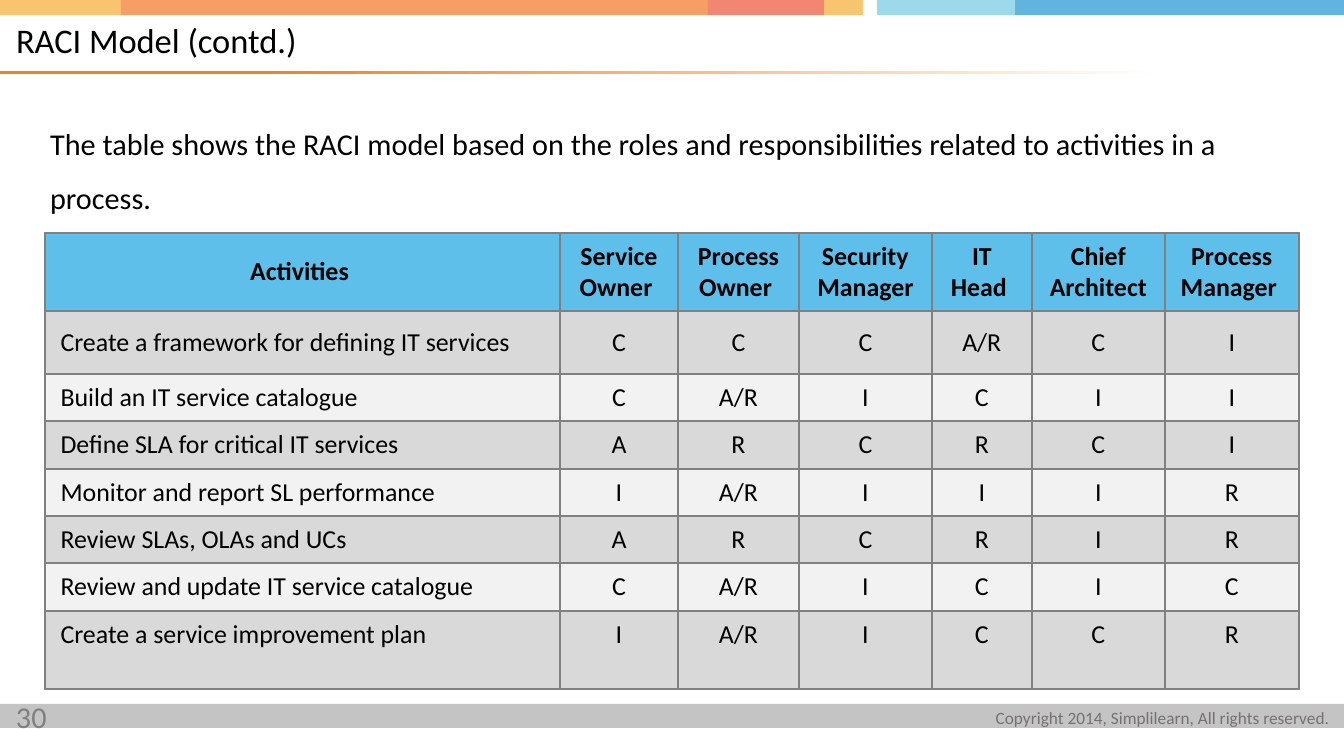
from lxml.etree import SubElement
from pptx import Presentation
from pptx.dml.color import RGBColor
from pptx.enum.shapes import MSO_SHAPE
from pptx.enum.text import MSO_ANCHOR, PP_ALIGN
from pptx.oxml import parse_xml
from pptx.oxml.ns import nsdecls, qn
from pptx.util import Pt

PX = 5884  # EMU in one px
FONT = "Calibri"
WIDTH, HEIGHT = 1344, 729

BANNER = [(121, "FAC36F"), (587, "F69E66"), (116, "F38573"), (39, "FAC36F"),
          (14, "FFFFFF"), (138, "9CDAEB"), (329, "61B4DF")]

COLUMNS = [515, 118, 121, 133, 100, 133, 134]
ROWS = [78, 63, 47, 48, 47, 47, 48, 78]
HEADINGS = ["Activities ", "Service Owner ", "Process Owner ", "Security Manager ",
            "IT Head ", "Chief Architect ", "Process Manager "]
ACTIVITIES = [
    ("Create a framework for defining IT services", "C C C A/R C I"),
    ("Build an IT service catalogue", "C A/R I C I I"),
    ("Define SLA for critical IT services", "A R C R C I"),
    ("Monitor and report SL performance", "I A/R I I I R"),
    ("Review SLAs, OLAs and UCs", "A R C R I R"),
    ("Review and update IT service catalogue", "C A/R I C I C"),
    ("Create a service improvement plan", "I A/R I C C R"),
]


def px(n):
    return round(n * PX)


def rgb(color):
    return RGBColor.from_string(color)


def write(p, text, size, color="000000", align=PP_ALIGN.LEFT, bold=False):
    p.text = text
    p.alignment = align
    p.font.name = FONT
    p.font.size = Pt(size)
    p.font.bold = bold
    p.font.color.rgb = rgb(color)


def add_bar(s, x, y, w, h):
    sp = s.shapes.add_shape(MSO_SHAPE.RECTANGLE, px(x), px(y), px(w), px(h))
    sp.shadow.inherit = False
    sp.line.fill.background()
    return sp


def add_solid_bar(s, x, y, w, h, color):
    sp = add_bar(s, x, y, w, h)
    sp.fill.solid()
    sp.fill.fore_color.rgb = rgb(color)


def add_text(s, x, y, w, h, text, size, margins=(16, 8, 16, 8), spacing=None,
             anchor=MSO_ANCHOR.TOP, **style):
    tf = s.shapes.add_textbox(px(x), px(y), px(w), px(h)).text_frame
    tf.word_wrap = True
    tf.vertical_anchor = anchor
    tf.margin_left, tf.margin_top, tf.margin_right, tf.margin_bottom = map(px, margins)
    p = tf.paragraphs[0]
    write(p, text, size, **style)
    if spacing:
        p.line_spacing = spacing


def add_banner(s, x, y, h):
    for w, color in BANNER:
        add_solid_bar(s, x, y, w, h, color)
        x += w


def add_title(s, x, y, w, h):
    add_text(s, x, y, w, h, "RACI Model (contd.)", 16, margins=(16, 0, 0, 0),
             spacing=0.9, anchor=MSO_ANCHOR.MIDDLE)
    rule = add_bar(s, x, y + h + 2, 1161, 3)
    rule.fill.gradient()
    rule.fill.gradient_angle = 0
    for stop, (position, color) in zip(rule.fill.gradient_stops,
                                       [(0.23, "F28020"), (1, "FFFFFF")]):
        stop.position = position
        stop.color.rgb = rgb(color)


def add_footer(s, x, y, w, h):
    add_solid_bar(s, x, y, w, h, "C4C4C4")
    add_text(s, x + w - 374, y - 5, 360, 37,
             "Copyright 2014, Simplilearn, All rights reserved.", 8,
             margins=(0, 8, 0, 8), color="767171", align=PP_ALIGN.RIGHT)
    add_text(s, x, y - 14, 98, 39, "30", 14, color="808080")


def style_cell(cell, fill, alpha=None):
    """Fill a cell and draw its grey borders."""
    cell.fill.solid()
    cell.fill.fore_color.rgb = rgb(fill)
    tc_pr = cell._tc.get_or_add_tcPr()
    if alpha:
        color = tc_pr.find(qn("a:solidFill"))[0]
        SubElement(color, qn("a:alpha")).set("val", str(alpha * 1000))
    for i, side in enumerate("LRTB"):
        tc_pr.insert(i, parse_xml(
            f'<a:ln{side} {nsdecls("a")} w="{Pt(1)}"><a:solidFill>'
            f'<a:srgbClr val="808080"/></a:solidFill></a:ln{side}>'))


def add_raci_table(s, x, y):
    table = s.shapes.add_table(len(ROWS), len(COLUMNS), px(x), px(y),
                               px(sum(COLUMNS)), px(sum(ROWS))).table
    table.horz_banding = False
    for column, w in zip(table.columns, COLUMNS):
        column.width = px(w)
    for row, h in zip(table.rows, ROWS):
        row.height = px(h)

    for cell, heading in zip(table.rows[0].cells, HEADINGS):
        cell.vertical_anchor = MSO_ANCHOR.MIDDLE
        p = cell.text_frame.paragraphs[0]
        write(p, heading, 12, align=PP_ALIGN.CENTER, bold=True)
        p.space_after = Pt(2)
        style_cell(cell, "29AAE3", alpha=75)

    last = len(ACTIVITIES)
    for i, (activity, roles) in enumerate(ACTIVITIES, 1):
        for j, text in enumerate([activity, *roles.split()]):
            cell = table.cell(i, j)
            cell.vertical_anchor = MSO_ANCHOR.TOP if i == last else MSO_ANCHOR.MIDDLE
            write(cell.text_frame.paragraphs[0], text, 12,
                  align=PP_ALIGN.CENTER if j else PP_ALIGN.LEFT)
            style_cell(cell, "D9D9D9" if i % 2 else "F2F2F2")


def main():
    prs = Presentation()
    prs.slide_width, prs.slide_height = px(WIDTH), px(HEIGHT)
    s = prs.slides.add_slide(prs.slide_layouts[6])
    add_footer(s, 0, 704, WIDTH, 24)
    add_banner(s, 0, 0, 15)
    add_title(s, 0, 16, 1100, 53)
    add_raci_table(s, 45, 233)
    add_text(s, 34, 99, 1257, 120,
             "The table shows the RACI model based on the roles and responsibilities "
             "related to activities in a process.", 14, spacing=1.5)
    prs.save("out.pptx")


if __name__ == "__main__":
    main()
